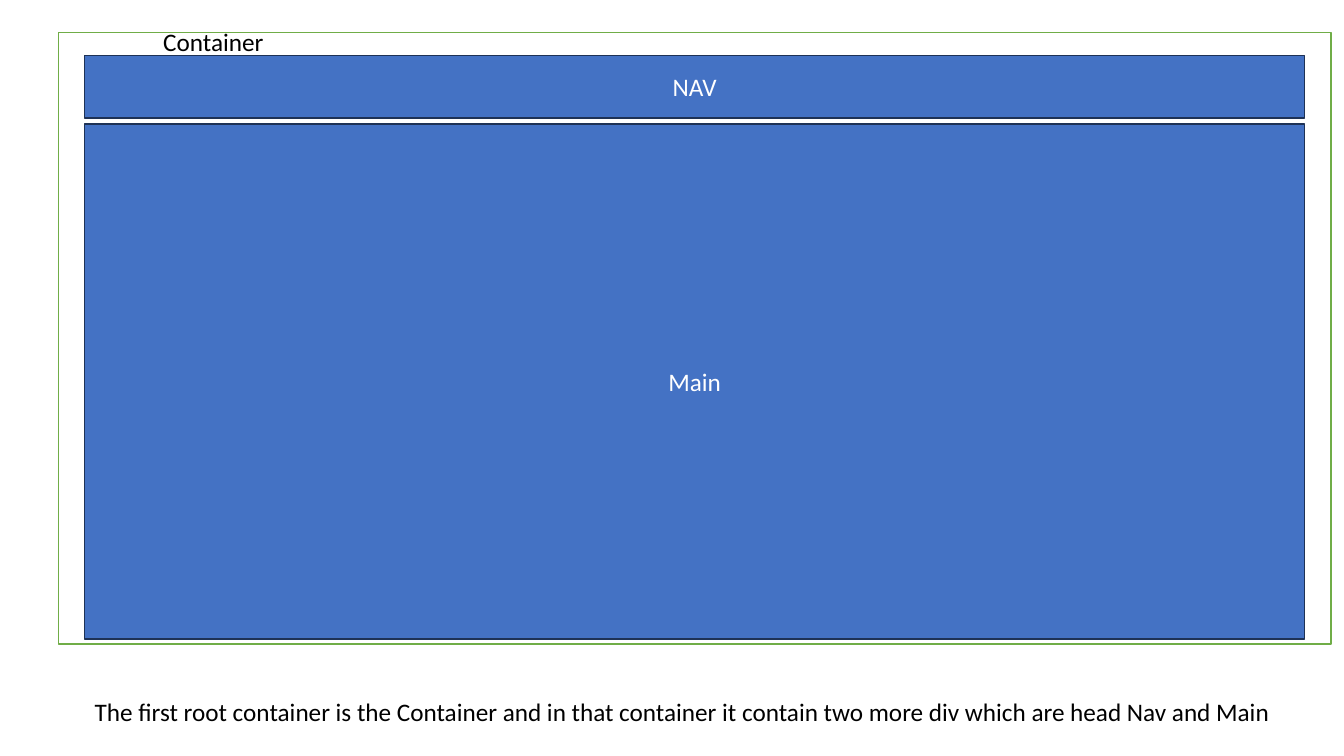
"""Draw a page layout of nested blocks with a caption."""
from dataclasses import dataclass

from pptx import Presentation
from pptx.dml.color import RGBColor
from pptx.enum import shapes, text
from pptx.util import Inches, Pt


@dataclass(frozen=True)
class Theme:
    """Hold the colours and type of the slide."""
    white: str = "FFFFFF"
    black: str = "000000"
    blue: str = "4472C4"
    navy: str = "1E3256"
    green: str = "70AD47"
    font: str = "Calibri"
    size: int = 18
    line: int = 1


THEME = Theme()


def write(frame, words, color):
    """Add one run of styled text to a frame."""
    run = frame.paragraphs[0].add_run()
    run.text = words
    run.font.name = THEME.font
    run.font.size = Pt(THEME.size)
    run.font.color.rgb = RGBColor.from_string(color)


def block(slide, area, fill, edge, words=""):
    """Add an outlined rectangle with an optional centred label."""
    box = slide.shapes.add_shape(
        shapes.MSO_SHAPE.RECTANGLE, *map(Inches, area))
    box.shadow.inherit = False
    box.fill.solid()
    box.fill.fore_color.rgb = RGBColor.from_string(fill)
    box.line.color.rgb = RGBColor.from_string(edge)
    box.line.width = Pt(THEME.line)
    if words:
        frame = box.text_frame
        frame.vertical_anchor = text.MSO_ANCHOR.MIDDLE
        frame.paragraphs[0].alignment = text.PP_ALIGN.CENTER
        write(frame, words, THEME.white)


def label(slide, area, words):
    """Add a single line of black text."""
    frame = slide.shapes.add_textbox(*map(Inches, area)).text_frame
    frame.word_wrap = False
    frame.auto_size = text.MSO_AUTO_SIZE.SHAPE_TO_FIT_TEXT
    write(frame, words, THEME.black)


def main():
    """Build and save the slide."""
    deck = Presentation()
    deck.slide_width, deck.slide_height = Inches(13.33), Inches(7.5)
    slide = deck.slides.add_slide(deck.slide_layouts[6])
    left, width = 0.84, 12.1
    block(slide, (0.58, 0.32, 12.62, 6.07), THEME.white, THEME.green)
    for name, top, height in (("NAV", 0.55, 0.62), ("Main", 1.23, 5.11)):
        block(slide, (left, top, width, height),
              THEME.blue, THEME.navy, name)
    label(slide, (1.52, 0.21, 1.21, 0.4), "Container")
    label(slide, (left, 6.86, 11.92, 0.4),
          "The first root container is the Container and in that container "
          "it contain two more div which are head Nav and Main")
    deck.save("out.pptx")


if __name__ == "__main__":
    main()
